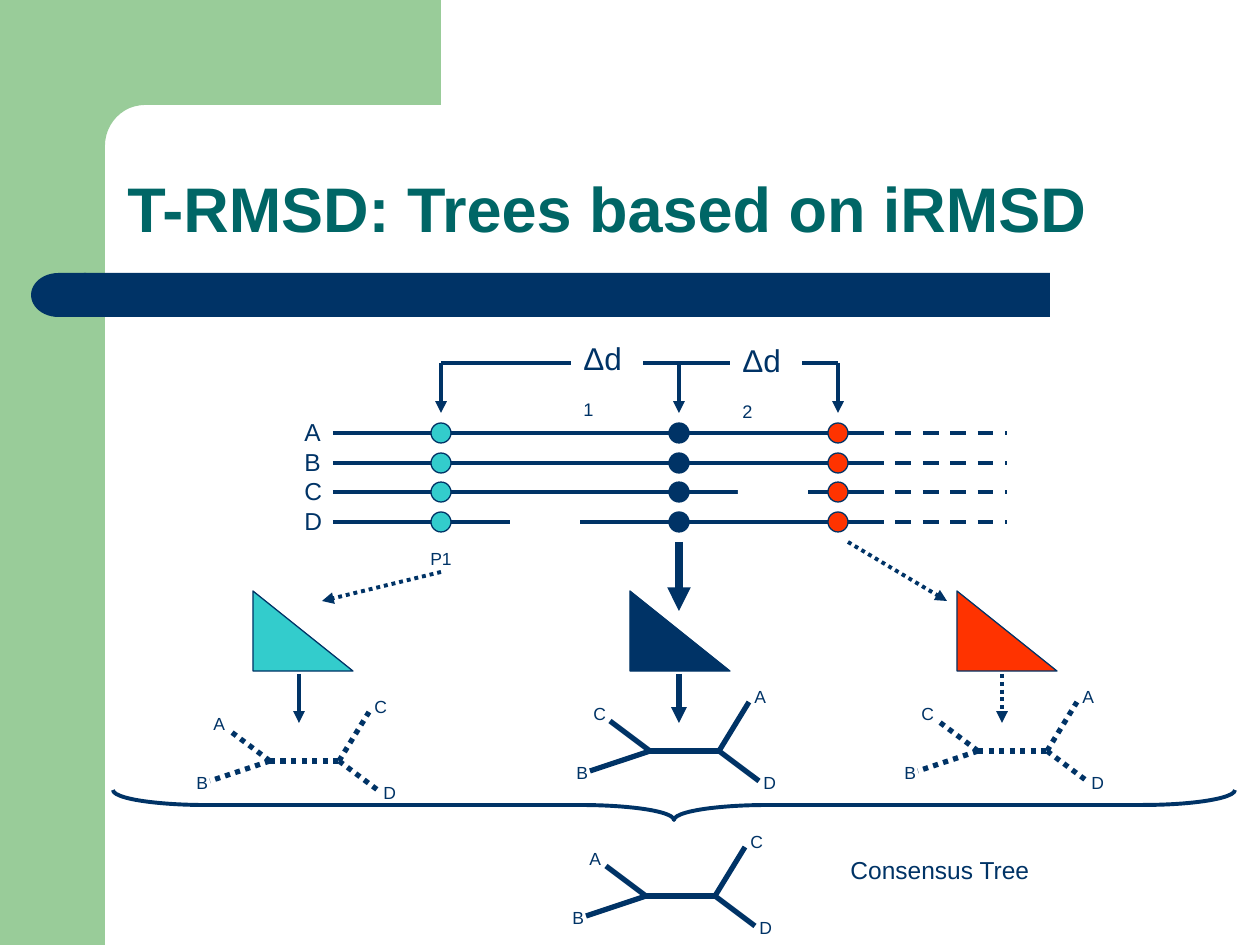
from math import cos, pi, sin
from pptx import Presentation
from pptx.dml.color import RGBColor
from pptx.enum.dml import MSO_LINE
from pptx.enum.shapes import MSO_CONNECTOR, MSO_SHAPE
from pptx.enum.text import MSO_ANCHOR, MSO_AUTO_SIZE
from pptx.oxml.ns import qn
from pptx.util import Pt
from lxml.etree import SubElement

PX = 914400 / 126
NAVY, GREEN, TEAL, WHITE = "003366", "99CC99", "006666", "FFFFFF"
DOT, DASH = MSO_LINE.ROUND_DOT, MSO_LINE.DASH

TITLE = "T-RMSD: Trees based on iRMSD"
ROWS = [(name, round(433 + 29.7 * i)) for i, name in enumerate("ABCD")]
SITES = [(441, "33CCCC"), (679, NAVY), (838, "FF3300")]
GAPS = [(510, 522), (738, 492)]
DISTANCES = [("1", 571, 333), ("2", 730, 335)]
TRIANGLES = [(253, "33CCCC"), (630, NAVY), (957, "FF3300")]
ARROWS = [
    ((441, 572), (322, 601), 2.25, DOT),
    ((679, 542), (679, 611), 4.5, None),
    ((848, 542), (947, 601), 2.25, DOT),
    ((299, 674), (299, 723), 2.25, None),
    ((679, 674), (679, 723), 3, None),
    ((1002, 674), (1002, 723), 2.25, DOT),
]
TREES = [
    (270, 761, "ABCD", DOT),
    (650, 751, "CBAD", None),
    (646, 896, "ABCD", None),
    (978, 751, "CBAD", DOT),
]
STEM = 69
BRANCHES = [(0, -40, -30), (0, -60, 20), (STEM, 99, -49), (STEM, 109, 30)]
LABEL_OFFSETS = [(-69, -54), (-86, 5), (92, -71), (101, 15)]


def emu(*lengths):
    return [round(v * PX) for v in lengths]


def rgb(color):
    return RGBColor.from_string(color)


def add_run(p, text, size, color=NAVY, bold=False):
    r = p.add_run()
    r.text = text
    r.font.name, r.font.size, r.font.bold = "Arial", Pt(size), bold
    r.font.color.rgb = rgb(color)
    return r


def paint(sp, fill, line=None, width=0.75):
    sp.shadow.inherit = False
    if fill:
        sp.fill.solid()
        sp.fill.fore_color.rgb = rgb(fill)
    else:
        sp.fill.background()
    if line:
        sp.line.color.rgb = rgb(line)
        sp.line.width = Pt(width)
    else:
        sp.line.fill.background()
    return sp


def add_box(s, kind, x, y, w, h, fill, line=None, width=0.75):
    return paint(s.shapes.add_shape(kind, *emu(x, y, w, h)), fill, line, width)


def add_label(s, text, x, y, w, h, size):
    tf = s.shapes.add_textbox(*emu(x, y, w, h)).text_frame
    tf.word_wrap = False
    tf.auto_size = MSO_AUTO_SIZE.SHAPE_TO_FIT_TEXT
    add_run(tf.paragraphs[0], text, size)


def add_line(s, start, end, width=2.25, dash=None, arrow=False):
    cn = s.shapes.add_connector(MSO_CONNECTOR.STRAIGHT, *emu(*start, *end))
    cn.line.color.rgb = rgb(NAVY)
    cn.line.width = Pt(width)
    if dash:
        cn.line.dash_style = dash
    if arrow:
        SubElement(cn.line._get_or_add_ln(), qn("a:tailEnd"), type="triangle")
    SubElement(cn._element.spPr, qn("a:effectLst"))


def add_frame(s):
    add_box(s, MSO_SHAPE.RECTANGLE, 0, 0, 105, 945, GREEN)
    arc = [(145 - 40 * sin(a), 146 - 41 * cos(a)) for a in (pi / 24 * i for i in range(13))]
    fb = s.shapes.build_freeform(*emu(441, 0), scale=1.0)
    corner = [(441, 105), *arc, (105, 161), (63, 161), (63, 0)]
    fb.add_line_segments([emu(*point) for point in corner], close=True)
    paint(fb.convert_to_shape(), GREEN)
    add_box(s, MSO_SHAPE.RECTANGLE, 84, 273, 966, 44, NAVY)
    add_box(s, MSO_SHAPE.FLOWCHART_DELAY, 31, 273, 55, 44, NAVY).rotation = 180
    tf = s.shapes.add_textbox(*emu(115, 115, 1072, 137)).text_frame
    tf.word_wrap = True
    tf.vertical_anchor = MSO_ANCHOR.BOTTOM
    p = tf.paragraphs[0]
    p.line_spacing = 0.9
    add_run(p, TITLE, 36, TEAL, True)


def add_distances(s):
    for x, _ in SITES:
        add_line(s, (x, 363), (x, 413), arrow=True)
    add_line(s, (SITES[0][0], 363), (SITES[-1][0], 363))
    for index, x, y in DISTANCES:
        tf = add_box(s, MSO_SHAPE.RECTANGLE, x, y, 72, 55, WHITE).text_frame
        tf.word_wrap = True
        tf.vertical_anchor = MSO_ANCHOR.TOP
        p = tf.paragraphs[0]
        p.alignment = 1
        add_run(p, "Δd", 18)
        add_run(p, index, 18).font._element.set("baseline", "-25000")


def add_alignment(s):
    for name, y in ROWS:
        add_line(s, (333, y), (878, y))
        add_line(s, (868, y), (1007, y), dash=DASH)
        add_label(s, name, 292, y - 22, 42, 43, 14)
        for x, color in SITES:
            add_box(s, MSO_SHAPE.OVAL, x - 10, y - 10, 20, 20, color, NAVY)
    for x, y in GAPS:
        add_box(s, MSO_SHAPE.RECTANGLE, x, y - 10, 70, 20, WHITE)
    add_label(s, "P1", 418, 542, 47, 34, 10)


def add_tree(s, x, y, leaves, dash):
    add_line(s, (x, y), (x + STEM, y), 3, dash)
    for leaf, (root, dx, dy), (lx, ly) in zip(leaves, BRANCHES, LABEL_OFFSETS):
        add_line(s, (x + root, y), (x + dx, y + dy), 3, dash)
        add_label(s, leaf, x + lx, y + ly, 37, 34, 10)


def main():
    """Build the T-RMSD slide."""
    prs = Presentation()
    prs.slide_width, prs.slide_height = emu(1260, 945)
    s = prs.slides.add_slide(prs.slide_layouts[6])
    add_frame(s)
    add_distances(s)
    add_alignment(s)
    for x, color in TRIANGLES:
        add_box(s, MSO_SHAPE.RIGHT_TRIANGLE, x, 591, 100, 80, color, NAVY)
    for start, end, width, dash in ARROWS:
        add_line(s, start, end, width, dash, arrow=True)
    for tree in TREES:
        add_tree(s, *tree)
    brace = add_box(s, MSO_SHAPE.LEFT_BRACE, 659, 244, 30, 1122, None, NAVY, 2.25)
    brace.adjustments[0] = 3.1
    brace.rotation = 270
    add_label(s, "Consensus Tree", 838, 849, 205, 43, 14)
    prs.save("out.pptx")


if __name__ == "__main__":
    main()
